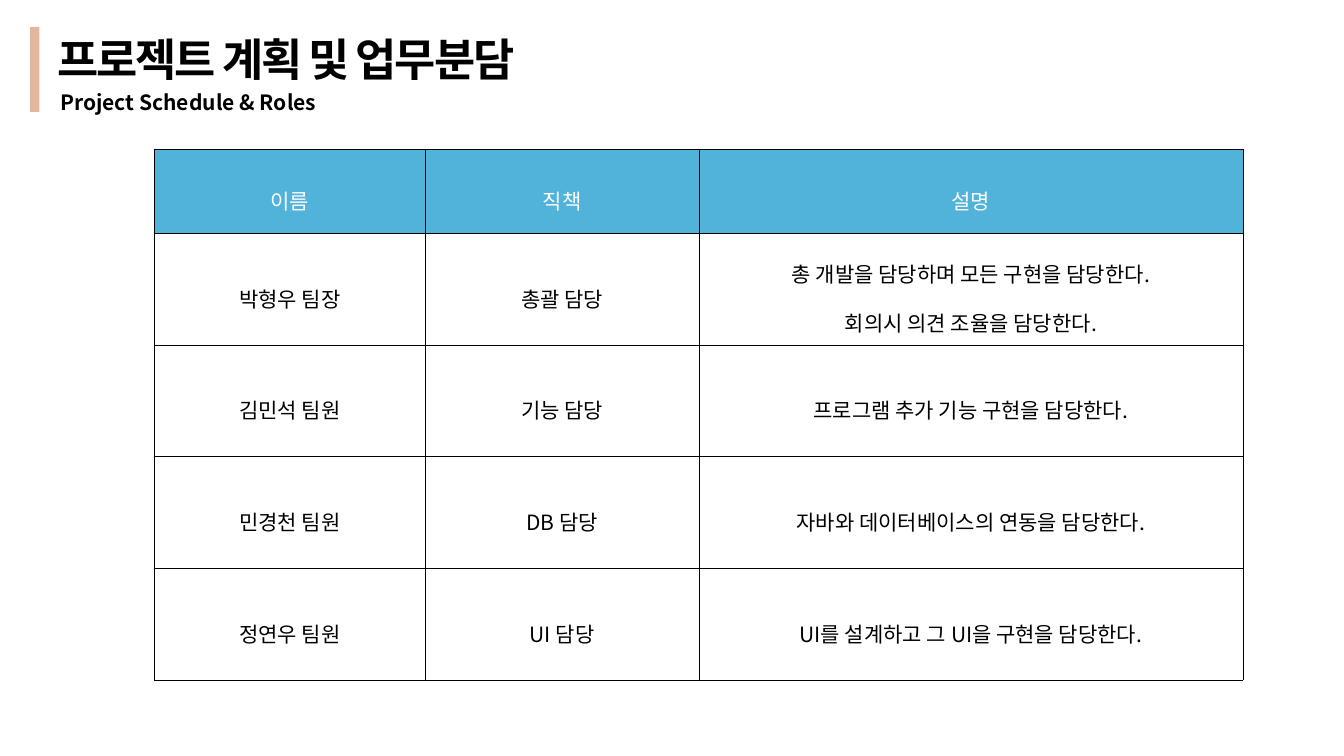
from dataclasses import dataclass

from lxml.etree import SubElement
from pptx import Presentation
from pptx.dml.color import RGBColor
from pptx.enum.shapes import MSO_SHAPE as Shape
from pptx.enum.text import MSO_ANCHOR as Anchor, MSO_AUTO_SIZE as AutoSize, PP_ALIGN as Align
from pptx.oxml.ns import qn
from pptx.util import Inches, Pt

FONT = "Noto Sans CJK KR"
COLORS = {"text": "000000", "header_text": "FFFFFF", "header": "52B3DA", "accent": "E3B69E", "border": "000000"}


@dataclass(frozen=True)
class Heading:
    text: str
    left: float
    top: float
    width: float
    height: float
    size: float
    spacing: float = 0


@dataclass(frozen=True)
class Member:
    name: str
    role: str
    duty: str


HEADINGS = [
    Heading("프로젝트 계획 및 업무분담", 0.47, 0.27, 5.32, 0.64, 32, -1.5),
    Heading("Project Schedule & Roles", 0.5, 0.84, 2.8, 0.35, 15),
]
MEMBERS = [
    Member("이름", "직책", "설명"),
    Member("박형우 팀장", "총괄 담당", "총 개발을 담당하며 모든 구현을 담당한다.\n회의시 의견 조율을 담당한다."),
    Member("김민석 팀원", "기능 담당", "프로그램 추가 기능 구현을 담당한다."),
    Member("민경천 팀원", "DB 담당", "자바와 데이터베이스의 연동을 담당한다."),
    Member("정연우 팀원", "UI 담당", "UI를 설계하고 그 UI을 구현을 담당한다."),
]
COLUMN_WIDTHS = [2.69, 2.71, 5.4]
HEADER_HEIGHT, MEMBER_HEIGHT = 0.83, 1.11


def color(name: str) -> RGBColor:
    return RGBColor.from_string(COLORS[name])


def write_text(frame, text: str, *, size: float, fill: str = "text", bold: bool = False,
               spacing: float = 0, align=Align.LEFT, line_spacing: float = 1.0) -> None:
    for index, line in enumerate(text.split("\n")):
        para = frame.add_paragraph() if index else frame.paragraphs[0]
        para.alignment = align
        para.line_spacing = line_spacing
        span = para.add_run()
        span.text = line
        span.font.name = FONT
        span.font.size = Pt(size)
        span.font.bold = bold
        span.font.color.rgb = color(fill)
        properties = span.font._element
        SubElement(properties, qn("a:ea"), typeface=FONT)
        if spacing:
            properties.set("spc", str(round(spacing * 100)))


def draw_heading(page, heading: Heading) -> None:
    box = page.shapes.add_textbox(Inches(heading.left), Inches(heading.top),
                                  Inches(heading.width), Inches(heading.height))
    box.text_frame.word_wrap = False
    box.text_frame.auto_size = AutoSize.SHAPE_TO_FIT_TEXT
    write_text(box.text_frame, heading.text, size=heading.size, bold=True, spacing=heading.spacing)


def draw_accent(page) -> None:
    bar = page.shapes.add_shape(Shape.RECTANGLE, Inches(0.3), Inches(0.27), Inches(0.09), Inches(0.84))
    bar.shadow.inherit = False
    bar.fill.solid()
    bar.fill.fore_color.rgb = color("accent")
    bar.line.fill.background()


def add_borders(cell) -> None:
    properties = cell._tc.get_or_add_tcPr()
    for side in ("lnL", "lnR", "lnT", "lnB"):
        line = SubElement(properties, qn(f"a:{side}"), w=str(Pt(0.28)))
        fill = SubElement(line, qn("a:solidFill"))
        SubElement(fill, qn("a:srgbClr"), val=COLORS["border"])


def draw_cell(cell, text: str, is_header: bool) -> None:
    cell.vertical_anchor = Anchor.MIDDLE
    cell.margin_left = cell.margin_right = Inches(0.07)
    cell.margin_top = cell.margin_bottom = Inches(0.02)
    add_borders(cell)
    if is_header:
        cell.fill.solid()
        cell.fill.fore_color.rgb = color("header")
    else:
        cell.fill.background()
    write_text(cell.text_frame, text, size=15, fill="header_text" if is_header else "text",
               align=Align.CENTER, line_spacing=1.6)


def draw_roles(page, members: list[Member]) -> None:
    heights = [HEADER_HEIGHT] + [MEMBER_HEIGHT] * (len(members) - 1)
    table = page.shapes.add_table(len(members), len(COLUMN_WIDTHS), Inches(1.53), Inches(1.48),
                                  Inches(sum(COLUMN_WIDTHS)), Inches(sum(heights))).table
    table.horz_banding = False
    table.first_row = False
    for column, width in zip(table.columns, COLUMN_WIDTHS):
        column.width = Inches(width)
    for index, (row, height, member) in enumerate(zip(table.rows, heights, members)):
        row.height = Inches(height)
        for cell, text in zip(row.cells, (member.name, member.role, member.duty)):
            draw_cell(cell, text, is_header=index == 0)


def main() -> None:
    deck = Presentation()
    deck.slide_width, deck.slide_height = Inches(13.33), Inches(7.5)
    page = deck.slides.add_slide(deck.slide_layouts[6])
    draw_accent(page)
    for heading in HEADINGS:
        draw_heading(page, heading)
    draw_roles(page, MEMBERS)
    deck.save("out.pptx")


if __name__ == "__main__":
    main()
